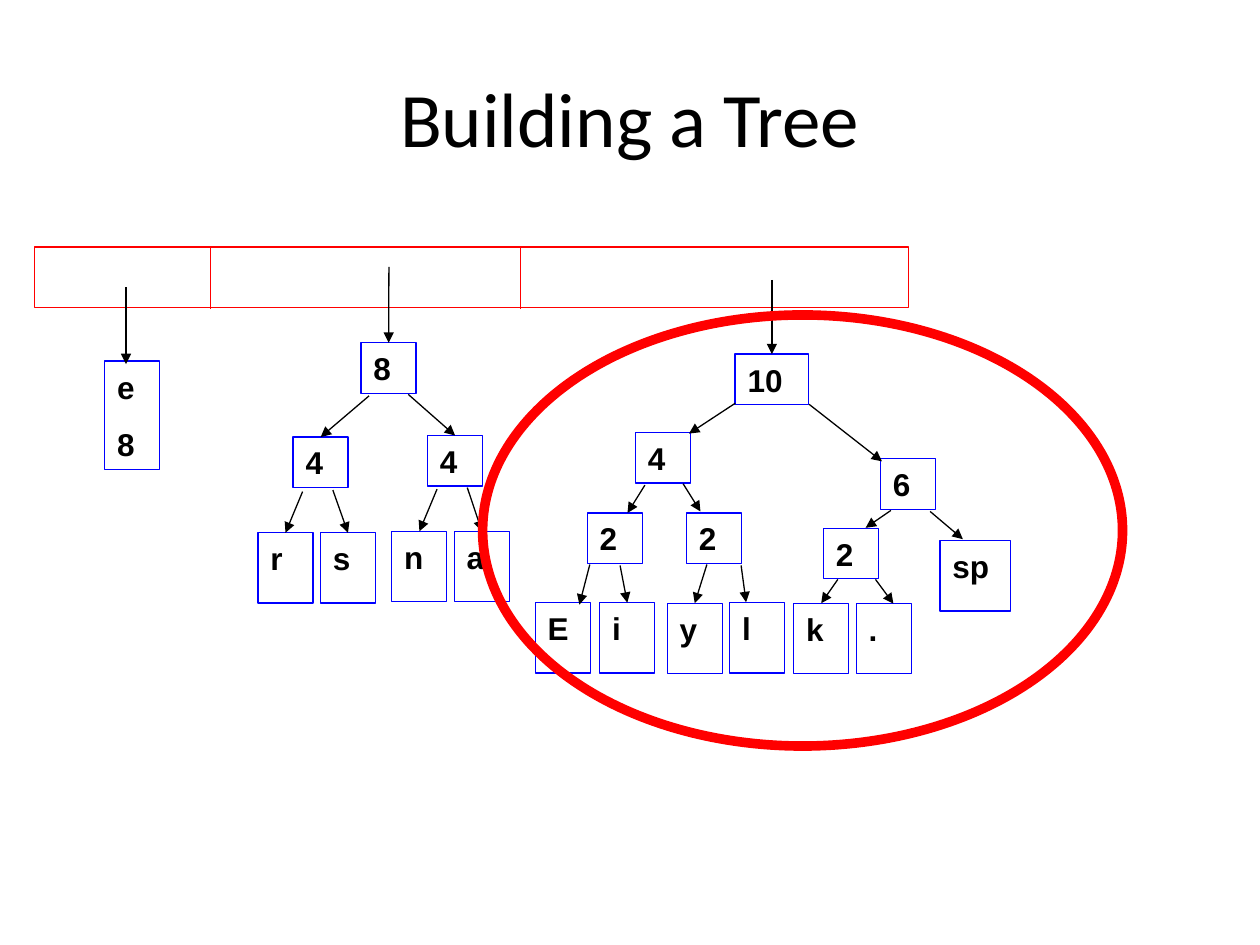
from lxml import etree
from pptx import Presentation
from pptx.dml.color import RGBColor
from pptx.enum.shapes import MSO_CONNECTOR as Connector, MSO_SHAPE as Shape
from pptx.enum.text import MSO_ANCHOR as Anchor, PP_ALIGN as Align
from pptx.oxml.ns import qn
from pptx.util import Cm, Pt

BLACK, RED, BLUE, WHITE = "000000", "FF0000", "0000FF", "FFFFFF"


def color(hex_string):
    return RGBColor.from_string(hex_string)


def add_line(x1, y1, x2, y2, line_color, arrow=False):
    line = slide.shapes.add_connector(
        Connector.STRAIGHT, Cm(x1), Cm(y1), Cm(x2), Cm(y2))
    line.line.color.rgb = color(line_color)
    line.line.width = Pt(0.75)
    if arrow:
        etree.SubElement(line.line._get_or_add_ln(), qn("a:tailEnd"), type="triangle")
    etree.SubElement(line._element.spPr, qn("a:effectLst"))
    return line


presentation = Presentation()
presentation.slide_width, presentation.slide_height = Cm(25.4), Cm(19.05)
slide = presentation.slides.add_slide(presentation.slide_layouts[5])

# Title
title = slide.shapes.title
title.left, title.top, title.width, title.height = Cm(1.27), Cm(0.76), Cm(22.86), Cm(3.18)
title.text_frame.text = "Building a Tree"
title.text_frame.vertical_anchor = Anchor.MIDDLE
paragraph = title.text_frame.paragraphs[0]
paragraph.alignment = Align.CENTER
title_format = {"name": "Calibri", "size": Pt(44)}
for name, value in title_format.items():
    setattr(paragraph.font, name, value)
paragraph.font.color.rgb = color(BLACK)

# Queue with its cell dividers
queue = slide.shapes.add_shape(Shape.RECTANGLE, Cm(0.69), Cm(4.98), Cm(17.63), Cm(1.22))
queue.shadow.inherit = False
queue.fill.solid()
queue.fill.fore_color.rgb = color(WHITE)
queue.line.color.rgb = color(RED)
queue.line.width = Pt(0.75)
for x in (4.24, 10.49):
    add_line(x, 5, x, 6.22, RED)

# Tree nodes: name, text, left, top, width, height
NODE, LEAF = (1.11, 1.02), (1.11, 1.42)
nodes = [
    ("e", "e\n8", 2.11, 7.28, 1.11, 2.18),
    # Tree of weight 8
    ("root 8", "8", 7.28, 6.91, *NODE),
    ("left 4", "4", 5.91, 8.81, *NODE),
    ("right 4", "4", 8.62, 8.78, *NODE),
    ("r", "r", 5.2, 10.74, *LEAF),
    ("s", "s", 6.46, 10.74, *LEAF),
    ("n", "n", 7.9, 10.71, *LEAF),
    ("a", "a", 9.16, 10.71, *LEAF),
    # Tree of weight 10
    ("root 10", "10", 14.82, 7.14, 1.48, 1.02),
    ("4", "4", 12.81, 8.72, *NODE),
    ("6", "6", 17.75, 9.25, *NODE),
    ("E and i", "2", 11.84, 10.34, *NODE),
    ("y and l", "2", 13.84, 10.34, *NODE),
    ("k and .", "2", 16.6, 10.65, *NODE),
    ("sp", "sp", 18.95, 10.9, 1.42, 1.42),
    ("E", "E", 10.79, 12.15, *LEAF),
    ("i", "i", 12.09, 12.15, *LEAF),
    ("y", "y", 13.45, 12.16, *LEAF),
    ("l", "l", 14.71, 12.15, *LEAF),
    ("k", "k", 16, 12.16, *LEAF),
    (".", ".", 17.26, 12.16, *LEAF),
]
frame_format = {
    "margin_left": Cm(0.25), "margin_right": Cm(0.25),
    "margin_top": Cm(0.13), "margin_bottom": Cm(0.13),
    "vertical_anchor": Anchor.TOP, "word_wrap": True,
}
font_format = {"name": "Arial", "size": Pt(18), "bold": True}
boxes = {}
for node, text, left, top, width, height in nodes:
    box = slide.shapes.add_shape(Shape.RECTANGLE, Cm(left), Cm(top), Cm(width), Cm(height))
    box.shadow.inherit = False
    box.fill.background()
    box.line.color.rgb = color(BLUE)
    box.line.width = Pt(0.75)
    box.text_frame.text = text
    for name, value in frame_format.items():
        setattr(box.text_frame, name, value)
    for paragraph in box.text_frame.paragraphs:
        paragraph.alignment = Align.LEFT
        paragraph.space_before = Pt(11.2)
        paragraph.font.color.rgb = color(BLACK)
        for name, value in font_format.items():
            setattr(paragraph.font, name, value)
    boxes[node] = box

# Arrows joined to the top of a node: start and node
joined_arrows = [
    (7.84, 5.38, "root 8"), (7.44, 7.98, "left 4"), (8.23, 7.95, "right 4"),
    (6.1, 9.91, "r"), (6.71, 9.88, "s"), (8.81, 9.86, "n"), (9.42, 9.83, "a"),
    (15.56, 5.64, "root 10"), (12.5, 11.4, "i"), (14.25, 11.38, "y"),
    (16.89, 11.68, "k"),
]
for x, y, node in joined_arrows:
    arrow = add_line(x, y, x, y, BLACK, arrow=True)
    arrow.end_connect(boxes[node], 0)

# Arrows that meet a node off its middle: start and end
loose_arrows = [
    (2.54, 5.79, 2.54, 7.34),
    (14.82, 8.13, 13.89, 8.74), (16.31, 8.15, 17.78, 9.3),
    (13, 9.78, 12.65, 10.34), (13.77, 9.75, 14.12, 10.31),
    (17.96, 10.29, 17.45, 10.64), (18.75, 10.31, 19.41, 10.87),
    (11.89, 11.38, 11.68, 12.19), (14.94, 11.4, 15.04, 12.14),
    (17.65, 11.68, 18.01, 12.17),
]
for ends in loose_arrows:
    add_line(*ends, BLACK, arrow=True)

# Ring around the new tree
ring = slide.shapes.add_shape(Shape.OVAL, Cm(9.73), Cm(6.35), Cm(12.9), Cm(8.69))
ring.shadow.inherit = False
ring.fill.background()
ring.line.color.rgb = color(RED)
ring.line.width = Pt(5.5)

presentation.save("out.pptx")
